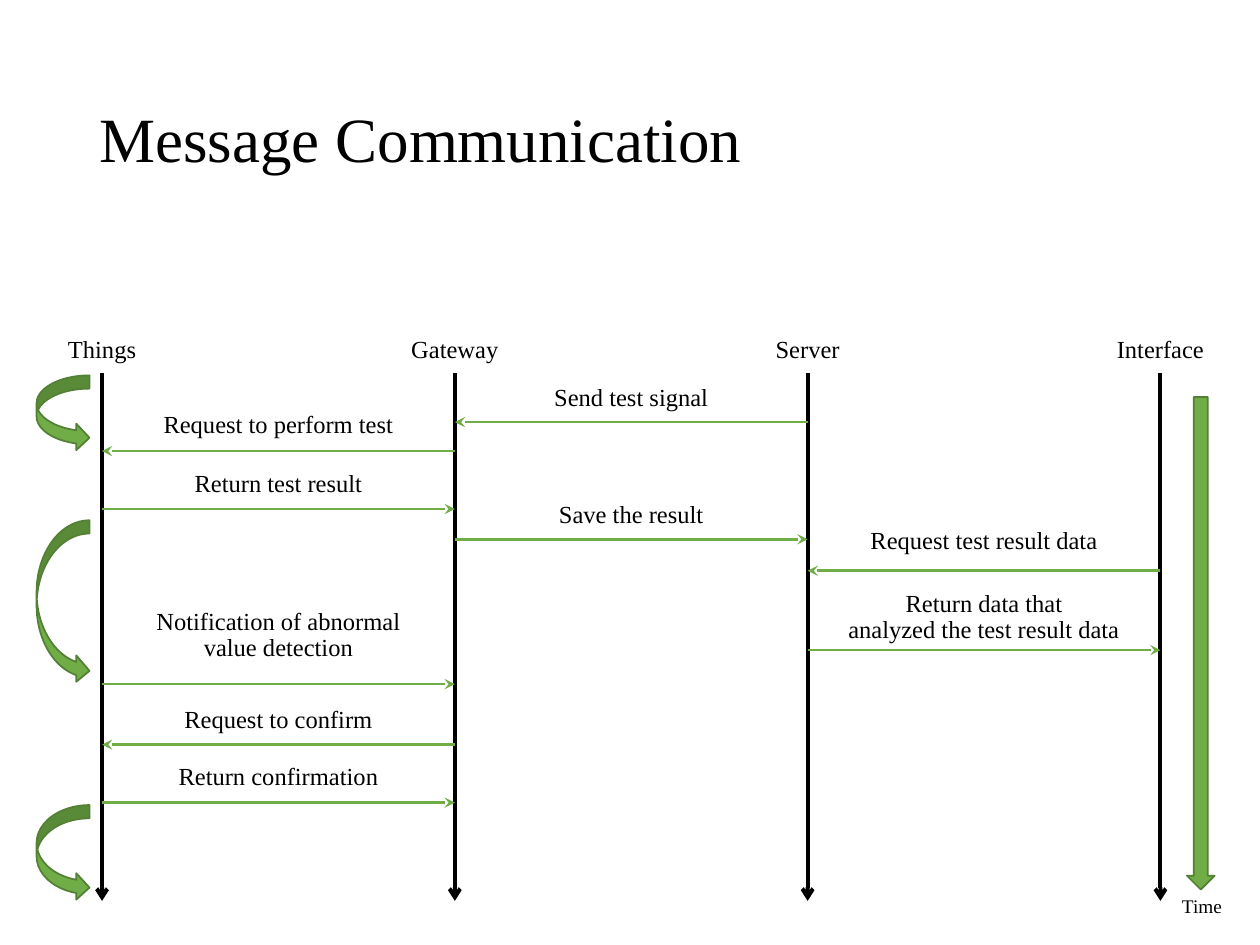
import pptx
import pptx.dml.color
import pptx.enum.shapes
import pptx.enum.text
import pptx.oxml
import pptx.oxml.ns
import pptx.util
from pptx.util import Inches

BLACK = pptx.dml.color.RGBColor(0x00, 0x00, 0x00)
GREEN = pptx.dml.color.RGBColor(0x70, 0xAD, 0x47)
DARK_GREEN = pptx.dml.color.RGBColor(0x53, 0x80, 0x35)
FONT = "Times New Roman"
LABEL_WIDTH = 2.39
LABEL_HEIGHT = 0.34
LIFELINE_TOP = 2.96
LIFELINE_BOTTOM = 7.15
NAMESPACE = pptx.oxml.ns.nsdecls("a")
MIDDLE = pptx.enum.text.MSO_ANCHOR.MIDDLE
CENTER = pptx.enum.text.PP_ALIGN.CENTER


def write_text(shape, text, size, alignment, anchor):
    frame = shape.text_frame
    frame.text = text
    frame.word_wrap = True
    frame.auto_size = pptx.enum.text.MSO_AUTO_SIZE.NONE
    frame.vertical_anchor = anchor
    paragraph = frame.paragraphs[0]
    paragraph.alignment = alignment
    paragraph.line_spacing = 0.9
    paragraph.space_before = pptx.util.Pt(0)
    for run in paragraph.runs:
        run.font.name = FONT
        run.font.size = pptx.util.Pt(size)
        run.font.color.rgb = BLACK


def add_arrow(start_x, start_y, end_x, end_y, color, width, head):
    connector = slide.shapes.add_connector(
        pptx.enum.shapes.MSO_CONNECTOR.STRAIGHT,
        Inches(start_x), Inches(start_y), Inches(end_x), Inches(end_y))
    connector.line.color.rgb = color
    connector.line.width = pptx.util.Pt(width)
    line = connector.line._get_or_add_ln()
    line.append(pptx.oxml.parse_xml(f'<a:tailEnd {NAMESPACE} type="{head}"/>'))
    connector._element.spPr.append(pptx.oxml.parse_xml(f"<a:effectLst {NAMESPACE}/>"))


presentation = pptx.Presentation()
presentation.slide_width = Inches(10)
presentation.slide_height = Inches(7.5)
slide = presentation.slides.add_slide(presentation.slide_layouts[1])

title = slide.shapes.title
title.left, title.top = Inches(0.69), Inches(0.4)
title.width, title.height = Inches(8.62), Inches(1.45)
write_text(title, "Message Communication", 36, pptx.enum.text.PP_ALIGN.LEFT, MIDDLE)

time_label = slide.placeholders[1]
time_label.left, time_label.top = Inches(9.15), Inches(7.07)
time_label.width, time_label.height = Inches(0.78), Inches(0.27)
write_text(time_label, "Time", 11, CENTER, pptx.enum.text.MSO_ANCHOR.TOP)
time_properties = time_label.text_frame.paragraphs[0]._p.get_or_add_pPr()
time_properties.set("marL", "0")
time_properties.set("indent", "0")
time_properties.append(pptx.oxml.parse_xml(f"<a:buNone {NAMESPACE}/>"))

participants = ["Things", "Gateway", "Server", "Interface"]
lifelines = {name: 0.81 + 2.8 * index for index, name in enumerate(participants)}
labels = []
for name, x in lifelines.items():
    add_arrow(x, LIFELINE_TOP, x, LIFELINE_BOTTOM, BLACK, 2.25, "arrow")
    labels.append((name, x, 2.61, LABEL_WIDTH, LABEL_HEIGHT))

messages = [
    ("Server", "Gateway", 3.35, "Send test signal", 2.99, LABEL_WIDTH, LABEL_HEIGHT),
    ("Gateway", "Things", 3.58, "Request to perform test", 3.21, LABEL_WIDTH, LABEL_HEIGHT),
    ("Things", "Gateway", 4.04, "Return test result", 3.68, LABEL_WIDTH, LABEL_HEIGHT),
    ("Gateway", "Server", 4.28, "Save the result", 3.92, LABEL_WIDTH, LABEL_HEIGHT),
    ("Interface", "Server", 4.53, "Request test result data", 4.13, LABEL_WIDTH, LABEL_HEIGHT),
    ("Server", "Interface", 5.16, "Return data that\vanalyzed the test result data",
     3.86, 5.43, 2.08),
    ("Things", "Gateway", 5.43, "Notification of abnormal value detection",
     4.73, LABEL_WIDTH, 0.63),
    ("Gateway", "Things", 5.91, "Request to confirm", 5.55, LABEL_WIDTH, LABEL_HEIGHT),
    ("Things", "Gateway", 6.37, "Return confirmation", 6.0, LABEL_WIDTH, LABEL_HEIGHT),
]
for sender, receiver, y, text, top, width, height in messages:
    start_x, end_x = lifelines[sender], lifelines[receiver]
    add_arrow(start_x, y, end_x, y, GREEN, 1.5, "stealth")
    labels.append((text, (start_x + end_x) / 2, top, width, height))

for text, center_x, top, width, height in labels:
    label = slide.shapes.add_textbox(
        Inches(center_x - width / 2), Inches(top), Inches(width), Inches(height))
    write_text(label, text, 14, CENTER, MIDDLE)

CURVED_ARROW = pptx.enum.shapes.MSO_SHAPE.CURVED_RIGHT_ARROW
DOWN_ARROW = pptx.enum.shapes.MSO_SHAPE.DOWN_ARROW
block_arrows = [
    (DOWN_ARROW, 9.42, 3.15, 0.22, 3.91),
    (CURVED_ARROW, 0.29, 2.98, 0.42, 0.6),
    (CURVED_ARROW, 0.29, 4.13, 0.42, 1.3),
    (CURVED_ARROW, 0.29, 6.39, 0.42, 0.76),
]
for kind, left, top, width, height in block_arrows:
    shape = slide.shapes.add_shape(
        kind, Inches(left), Inches(top), Inches(width), Inches(height))
    shape.shadow.inherit = False
    shape.fill.solid()
    shape.fill.fore_color.rgb = GREEN
    shape.line.color.rgb = DARK_GREEN
    shape.line.width = pptx.util.Pt(1)

presentation.save("out.pptx")
